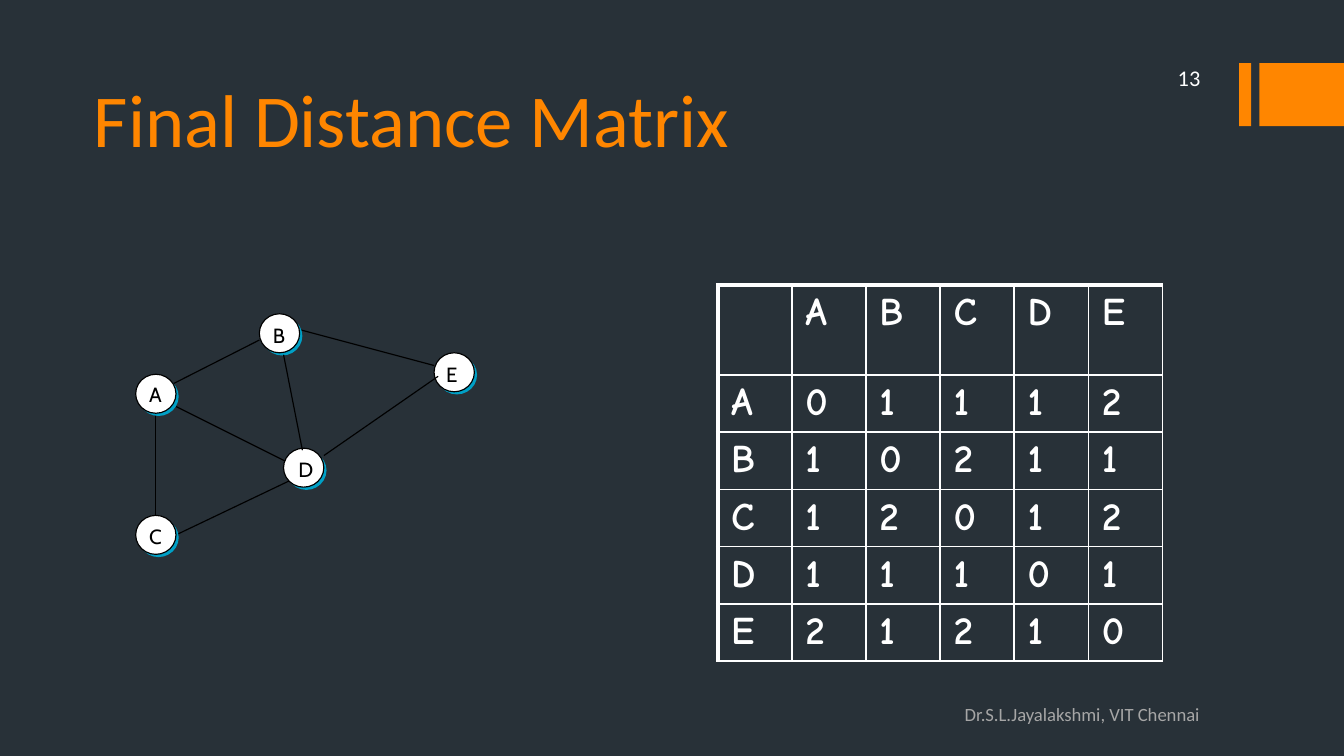
"""Build the slide with a five-node graph and its final distance matrix."""
from lxml.etree import SubElement
from pptx import Presentation
from pptx.dml.color import RGBColor
from pptx.enum.shapes import MSO_CONNECTOR, MSO_SHAPE
from pptx.enum.text import MSO_ANCHOR, PP_ALIGN
from pptx.oxml.ns import qn
from pptx.util import Inches, Pt

BACK = RGBColor(0x28, 0x31, 0x38)
ORANGE = RGBColor(0xFF, 0x86, 0x00)
WHITE = RGBColor(0xFF, 0xFF, 0xFF)
BLACK = RGBColor(0, 0, 0)
CYAN = RGBColor(0x00, 0xA0, 0xC6)
GREY = RGBColor(0xA6, 0xA6, 0xA6)

BARS = [(9.22, 0.09), (9.37, 0.63)]
TEXTS = [
    ("Final Distance Matrix", (0.6, 0.31, 8, 0.95), 40, ORANGE,
     MSO_ANCHOR.BOTTOM, PP_ALIGN.LEFT, 0.05),
    ("13", (8, 0.45, 1.03, 0.25), 12, WHITE,
     MSO_ANCHOR.MIDDLE, PP_ALIGN.RIGHT, 0.05),
    ("Dr.S.L.Jayalakshmi, VIT Chennai", (7.08, 5.23, 2.46, 0.25), 10, GREY,
     MSO_ANCHOR.TOP, PP_ALIGN.LEFT, 0),
]
NODES = [("A", (1.16, 2.93), (1.11, 2.84)), ("C", (1.16, 3.98), (1.11, 3.9)),
         ("D", (2.26, 3.48), (2.22, 3.4)), ("B", (2.08, 2.48), (2.03, 2.4)),
         ("E", (3.38, 2.77), (3.32, 2.69))]
WIDE, HIGH, SHIFT = 0.3, 0.29, 0.02
UNDER = [(1.16, 3.83, 1.16, 3.07), (1.28, 2.86, 1.93, 2.53),
         (1.28, 3.01, 2.12, 3.43), (2.22, 2.45, 3.23, 2.72),
         (2.17, 3.57, 1.31, 3.98)]
OVER = [(2.11, 2.64, 2.25, 3.35), (3.26, 2.8, 2.41, 3.39)]
MATRIX = [" ABCDE", "A01112", "B10211", "C12012", "D11101", "E21210"]
GRID = (5.34, 2.12, 3.31, 2.8)
HEAD = 0.67


def style(font, **values):
    for name, value in values.items():
        if name == "color":
            font.color.rgb = value
        else:
            setattr(font, name, value)


def add_shape(slide, kind, box, fill, line=None):
    shape = slide.shapes.add_shape(kind, *map(Inches, box))
    shape.shadow.inherit = False
    shape.fill.solid()
    shape.fill.fore_color.rgb = fill
    if line is None:
        shape.line.fill.background()
    else:
        shape.line.color.rgb = line
        shape.line.width = Pt(0.63)


def add_text(slide, words, box, size, color, anchor, align, top):
    frame = slide.shapes.add_textbox(*map(Inches, box)).text_frame
    frame.word_wrap = True
    frame.vertical_anchor = anchor
    frame.margin_top = Inches(top)
    para = frame.paragraphs[0]
    para.text = words
    para.alignment = align
    style(para.font, name="Calibri", size=Pt(size), color=color)


def add_edges(slide, edges):
    for edge in edges:
        line = slide.shapes.add_connector(
            MSO_CONNECTOR.STRAIGHT, *map(Inches, edge))
        line.line.color.rgb = BLACK
        line.line.width = Pt(0.63)
        SubElement(line._element.spPr, qn("a:effectLst"))


def add_discs(slide, shift, fill, line=None):
    for _, (x, y), _ in NODES:
        box = (x - WIDE / 2 + shift, y - HIGH / 2 + shift, WIDE, HIGH)
        add_shape(slide, MSO_SHAPE.OVAL, box, fill, line)


def add_labels(slide):
    for label, _, spot in NODES:
        box = map(Inches, (*spot, 0.1, 0.18))
        frame = slide.shapes.add_textbox(*box).text_frame
        for side in ("left", "right", "top", "bottom"):
            setattr(frame, f"margin_{side}", 0)
        frame.word_wrap = False
        para = frame.paragraphs[0]
        para.text = label
        style(para.font, name="Cabin", size=Pt(11), color=BLACK)


def add_borders(cell, widths):
    for side, width in widths.items():
        line = SubElement(cell._tc.get_or_add_tcPr(), qn(f"a:ln{side}"),
                          w=str(Pt(width)))
        fill = SubElement(line, qn("a:solidFill"))
        SubElement(fill, qn("a:srgbClr"), val=str(WHITE))


def add_matrix(slide):
    count = len(MATRIX)
    table = slide.shapes.add_table(count, count, *map(Inches, GRID)).table
    table.first_row = table.horz_banding = False
    for r, row in enumerate(MATRIX):
        height = (GRID[3] - HEAD) / (count - 1) if r else HEAD
        table.rows[r].height = Inches(height)
        table.columns[r].width = Inches(GRID[2] / count)
        for c, value in enumerate(row):
            cell = table.cell(r, c)
            add_borders(cell, {"L": 1 if c else 2.25, "R": 1,
                               "T": 1 if r else 2.25, "B": 1})
            cell.fill.background()
            cell.margin_top = cell.margin_bottom = Inches(0.04)
            para = cell.text_frame.paragraphs[0]
            para.text = value.strip()
            style(para.font, name="Comic Neue", size=Pt(21), bold=True,
                  color=WHITE)


def main():
    deck = Presentation()
    deck.slide_width = Inches(10)
    deck.slide_height = deck.slide_width * 9 // 16
    slide = deck.slides.add_slide(deck.slide_layouts[6])
    slide.background.fill.solid()
    slide.background.fill.fore_color.rgb = BACK
    for left, width in BARS:
        add_shape(slide, MSO_SHAPE.RECTANGLE, (left, 0.47, width, 0.47), ORANGE)
    add_matrix(slide)
    add_edges(slide, UNDER)
    add_discs(slide, SHIFT, CYAN)
    add_discs(slide, 0, WHITE, BLACK)
    add_labels(slide)
    add_edges(slide, OVER)
    for item in TEXTS:
        add_text(slide, *item)
    deck.save("out.pptx")


if __name__ == "__main__":
    main()
